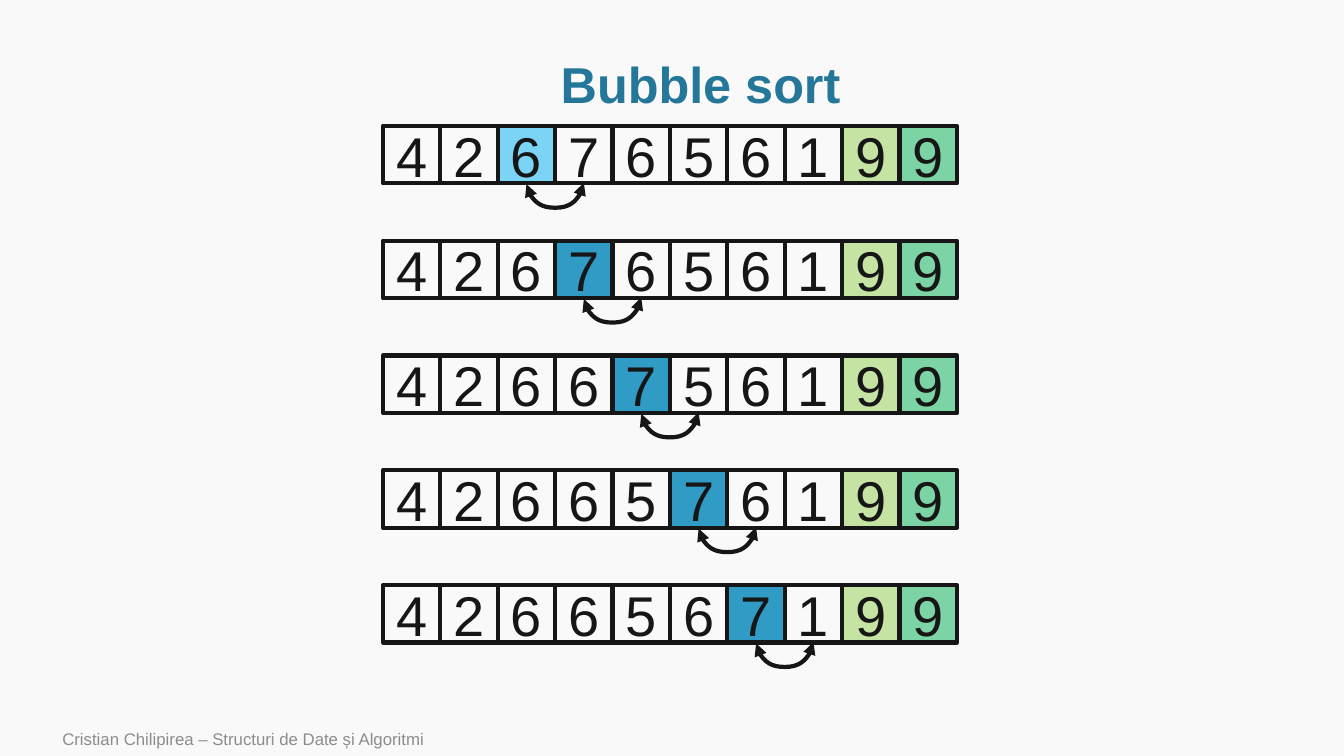
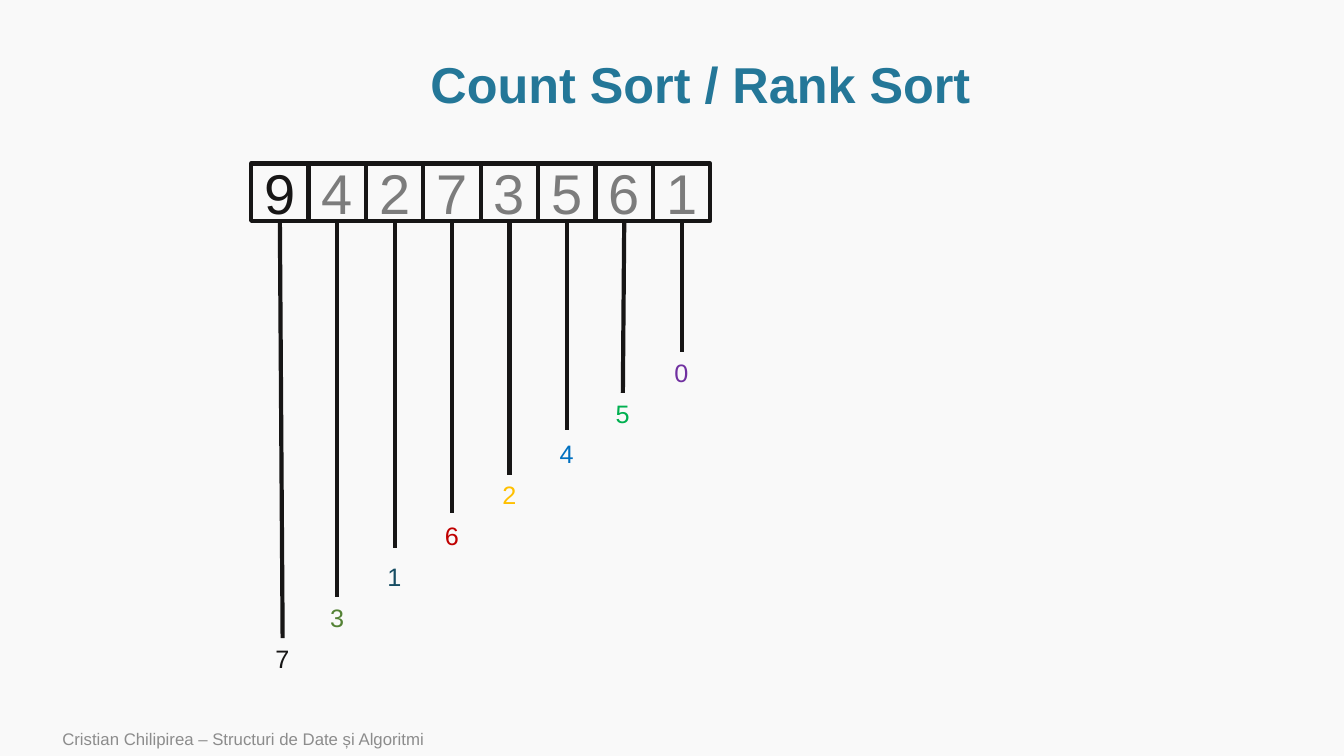
from lxml import etree
from pptx import Presentation
from pptx.dml.color import RGBColor
from pptx.enum import shapes, text
from pptx.oxml.ns import qn
from pptx.util import Pt

COLORS = {
    "page": "F9F9F9", "title": "247798", "footer": "8C8C8C",
    "ink": "171616", "muted": "7C7C7C",
    "start": "7CD4F4", "bubble": "309CC6", "placed": "C5E4A4", "last": "00B050",
    "olive": "548235", "navy": "174D63", "red": "C00000", "amber": "FFC000",
    "blue": "0070C0", "green": "00B050", "purple": "7030A0",
}
FONT = "Arial"
CELL = 41
LINE = 3
FOOTER = "Cristian Chilipirea – Structuri de Date și Algoritmi"

# Numbers, index of the compared cell, its fill
BUBBLE_STEPS = [
    ("4267656199", 2, "start"),
    ("4267656199", 3, "bubble"),
    ("4266756199", 4, "bubble"),
    ("4266576199", 5, "bubble"),
    ("4266567199", 6, "bubble"),
]
# Rank, colour, sideways drift of the line, gap above the rank
RANKS = [
    ("7", "ink", 2, 0), ("3", "olive", 0, 0), ("1", "navy", 0, 6), ("6", "red", 0, 2),
    ("2", "amber", 0, 0), ("4", "blue", 0, 3), ("5", "green", -1, 0), ("0", "purple", 0, 0),
]


def rgb(name):
    return RGBColor.from_string(COLORS[name])


def write(shape, words, size, color="ink", bold=False, align=text.PP_ALIGN.CENTER,
          anchor=text.MSO_ANCHOR.MIDDLE, wrap=True, spacing=None):
    frame = shape.text_frame
    frame.word_wrap = wrap
    frame.vertical_anchor = anchor
    para = frame.paragraphs[0]
    para.alignment = align
    if spacing:
        para.line_spacing = spacing
    span = para.add_run()
    span.text = words
    span.font.name = FONT
    span.font.size = Pt(size)
    span.font.bold = bold
    span.font.color.rgb = rgb(color)


def add_text(page, box, words, size, **style):
    shape = page.shapes.add_textbox(*map(Pt, box))
    write(shape, words, size, **style)


def add_page(deck, title):
    page = deck.slides.add_slide(deck.slide_layouts[6])
    add_text(page, (82, 37, 837, 50), title, 36, color="title", bold=True, spacing=0.9)
    add_text(page, (37.4, 515.5, 605, 24.5), FOOTER, 12, color="footer",
             align=text.PP_ALIGN.LEFT)
    return page


def add_cell(page, left, top, number, color="ink", fill=None):
    cell = page.shapes.add_shape(shapes.MSO_SHAPE.RECTANGLE,
                                 Pt(left), Pt(top), Pt(CELL), Pt(CELL))
    cell.shadow.inherit = False
    cell.line.color.rgb = rgb("ink")
    cell.line.width = Pt(LINE)
    if fill:
        cell.fill.solid()
        cell.fill.fore_color.rgb = rgb(fill)
    else:
        cell.fill.background()
    if fill == "last":
        # Half transparent
        tint = cell._element.spPr.find(qn("a:solidFill"))[0]
        etree.SubElement(tint, qn("a:alpha"), val="50000")
    write(cell, number, 40, color=color)
    return cell


def add_array(page, left, top, numbers, fills=None, colors=None):
    fills, colors = fills or {}, colors or {}
    return [add_cell(page, left + i * CELL, top, number, colors.get(i, "ink"), fills.get(i))
            for i, number in enumerate(numbers)]


def style_line(connector):
    connector.line.color.rgb = rgb("ink")
    connector.line.width = Pt(LINE)
    etree.SubElement(connector._element.spPr, qn("a:effectLst"))


def add_swap_arrow(page, first, second):
    """Curved double arrow that hangs below two neighbouring cells."""
    connector = page.shapes.add_connector(shapes.MSO_CONNECTOR.CURVE, 0, 0, 0, 0)
    connector.begin_connect(first, 2)
    connector.end_connect(second, 2)
    # A thin box turned a quarter: the bend is 18 times its width
    connector.left = second.left - Pt(0.5)
    connector.top = first.top + first.height - Pt(CELL / 2)
    connector.width, connector.height = Pt(1), Pt(CELL)
    properties = connector._element.spPr
    frame = properties.find(qn("a:xfrm"))
    frame.set("rot", "16200000")
    frame.set("flipH", "1")
    guides = properties.find(qn("a:prstGeom")).find(qn("a:avLst"))
    etree.SubElement(guides, qn("a:gd"), name="adj1", fmla="val 1800000")
    style_line(connector)
    outline = properties.find(qn("a:ln"))
    for end in ("a:headEnd", "a:tailEnd"):
        etree.SubElement(outline, qn(end), type="triangle")


def add_bubble_steps(page, left, top, pitch):
    for row, (numbers, index, fill) in enumerate(BUBBLE_STEPS):
        fills = {index: fill, 8: "placed", 9: "last"}
        cells = add_array(page, left, top + row * pitch, numbers, fills)
        add_swap_arrow(page, cells[index], cells[index + 1])


def add_rank_chart(page, left, top, numbers, deepest, step):
    colors = {i: "muted" for i in range(1, len(numbers))}
    cells = add_array(page, left, top, numbers, colors=colors)
    for i, (rank, color, drift, gap) in enumerate(RANKS):
        x = left + (i + 0.5) * CELL
        y = deepest - i * step
        add_text(page, (x + drift - 12.2, y, 24.4, 29), rank, 18, color=color,
                 align=text.PP_ALIGN.LEFT, anchor=text.MSO_ANCHOR.TOP, wrap=False)
        line = page.shapes.add_connector(shapes.MSO_CONNECTOR.STRAIGHT, Pt(x),
                                         Pt(top + CELL), Pt(x + drift), Pt(y - gap))
        line.begin_connect(cells[i], 2)
        style_line(line)


def main():
    deck = Presentation()
    deck.slide_width, deck.slide_height = Pt(960), Pt(540)
    backdrop = deck.slide_master.background.fill
    backdrop.solid()
    backdrop.fore_color.rgb = rgb("page")

    add_bubble_steps(add_page(deck, "Bubble sort"), left=273.6, top=90, pitch=82)
    add_rank_chart(add_page(deck, "Count Sort / Rank Sort"), left=179.4, top=116.8,
                   numbers="94273561", deepest=455.8, step=29.2)
    deck.save("out.pptx")


if __name__ == "__main__":
    main()
